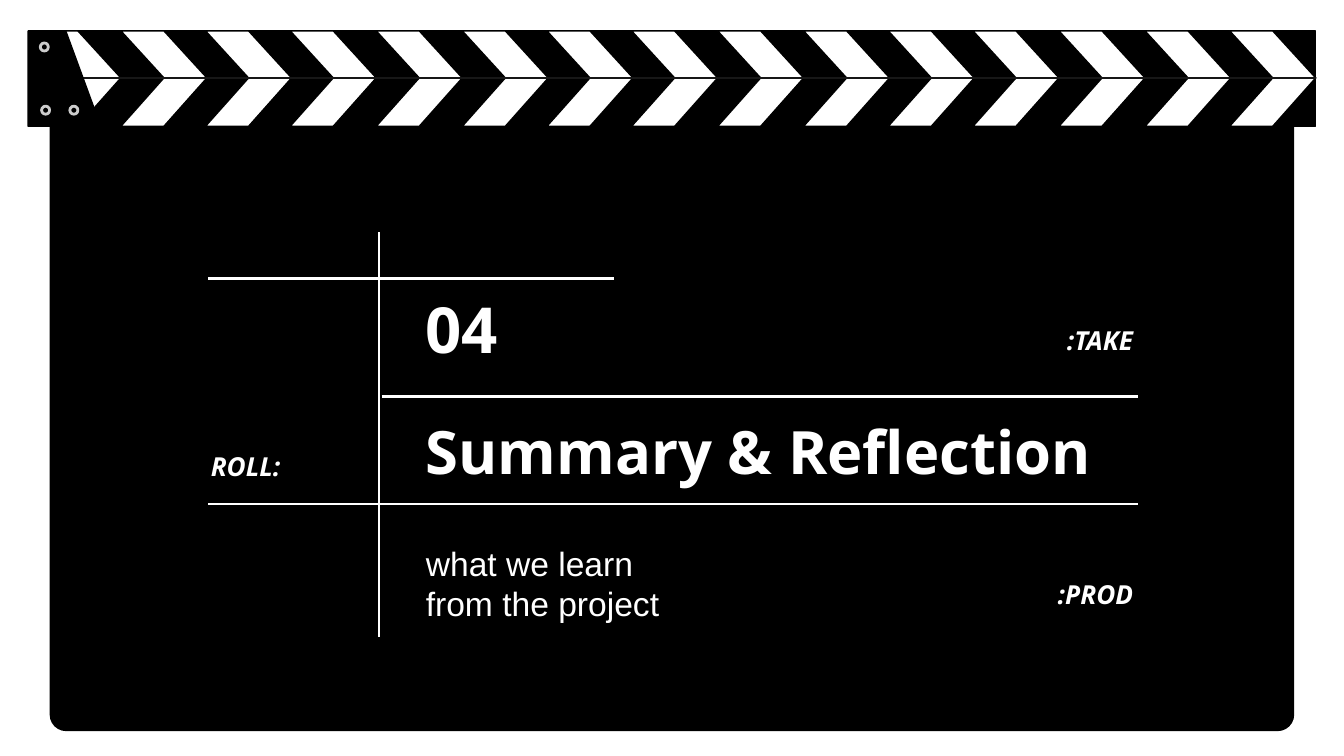
from dataclasses import dataclass

from lxml import etree
from pptx import Presentation, util as u
from pptx.dml.color import RGBColor
from pptx.enum import shapes, text
from pptx.oxml.ns import qn

EMU_PER_PX = 9144  # 100 px to the inch
BLACK, WHITE, GREY, SEAM_GREY = "000000", "FFFFFF", "CCCCCC", "171717"
HEADING_FONT, BODY_FONT = "Open Sans", "Arial"

# Clapper stick
STICK_LEFT, STICK_RIGHT = 21, 979
STICK_TOP, SEAM, STICK_BOTTOM = 23, 58, 94
STRIPE_COUNT, STRIPE_START, STRIPE_PITCH, STRIPE_WIDTH = 15, 26, 63.5, 32


@dataclass(frozen=True)
class Label:
    words: str
    left: int
    top: int
    width: int
    height: int
    size: int
    font: str = HEADING_FONT
    bold: bool = True
    italic: bool = False
    anchor: text.MSO_ANCHOR = text.MSO_ANCHOR.MIDDLE
    align: text.PP_ALIGN = text.PP_ALIGN.LEFT


@dataclass(frozen=True)
class Rule:
    x1: int
    y1: int
    x2: int
    y2: int
    colour: str = WHITE
    weight: float = 1.5


def px(length: float) -> int:
    return round(length * EMU_PER_PX)


def colour(value: str) -> RGBColor:
    return RGBColor.from_string(value)


def paint(shape, fill: str, line: str = BLACK, weight: float = 0.75) -> None:
    shape.shadow.inherit = False
    shape.fill.solid()
    shape.fill.fore_color.rgb = colour(fill)
    shape.line.color.rgb = colour(line)
    shape.line.width = u.Pt(weight)


def add_outline(slide, points: list[tuple[int, int]], fill: str) -> None:
    builder = slide.shapes.build_freeform(*points[0], scale=EMU_PER_PX)
    builder.add_line_segments(points[1:], close=True)
    paint(builder.convert_to_shape(), fill)


def add_stripe(slide, left: int, edge: int) -> None:
    """Slanted stripe between an outer edge of the stick and its seam."""
    middle, right = left + STRIPE_WIDTH, left + 2 * STRIPE_WIDTH
    add_outline(slide, [(left, edge), (middle, SEAM), (right, SEAM), (middle, edge)], WHITE)


def add_rule(slide, rule: Rule) -> None:
    connector = slide.shapes.add_connector(
        shapes.MSO_CONNECTOR.STRAIGHT, px(rule.x1), px(rule.y1), px(rule.x2), px(rule.y2))
    connector.line.color.rgb = colour(rule.colour)
    connector.line.width = u.Pt(rule.weight)
    etree.SubElement(connector._element.spPr, qn("a:effectLst"))


def add_label(slide, label: Label) -> None:
    box = slide.shapes.add_textbox(
        px(label.left), px(label.top), px(label.width), px(label.height))
    frame = box.text_frame
    frame.word_wrap = True
    frame.vertical_anchor = label.anchor
    frame.margin_left = frame.margin_right = px(10)
    frame.margin_top = frame.margin_bottom = px(10)
    paragraph = frame.paragraphs[0]
    paragraph.text = label.words
    paragraph.alignment = label.align
    font = paragraph.font
    font.name, font.size = label.font, u.Pt(label.size)
    font.bold, font.italic = label.bold, label.italic
    font.color.rgb = colour(WHITE)


def field_label(words: str, left: int, top: int, align: text.PP_ALIGN) -> Label:
    return Label(words, left, top, 111, 29, 14, italic=True,
                 anchor=text.MSO_ANCHOR.TOP, align=align)


LABELS = [
    Label("Summary & Reflection", 307, 303, 655, 65, 32),
    Label("04", 307, 198, 127, 92, 34),
    Label("what we learn from the project", 307, 392, 211, 84, 18, BODY_FONT, bold=False),
    field_label("ROLL:", 147, 325, text.PP_ALIGN.LEFT),
    field_label(":PROD", 742, 420, text.PP_ALIGN.RIGHT),
    field_label(":TAKE", 742, 231, text.PP_ALIGN.RIGHT),
]
RULES = [
    Rule(284, 295, 847, 295),
    Rule(282, 173, 282, 474),
    Rule(155, 375, 847, 375),
    Rule(155, 207, 457, 207),
]
SCREWS = [(30, 32), (31, 79), (52, 79)]
SCREW_SIZE = 6


def main() -> None:
    presentation = Presentation()
    presentation.slide_width = u.Inches(10)
    presentation.slide_height = u.Inches(5.625)
    slide = presentation.slides.add_slide(presentation.slide_layouts[6])

    # Board
    board = slide.shapes.add_shape(
        shapes.MSO_SHAPE.ROUNDED_RECTANGLE, px(37), px(72), px(926), px(472))
    board.adjustments[0] = 0.026
    paint(board, BLACK)
    board.line.fill.background()

    # Striped stick, upper half then lower half
    for edge in (STICK_TOP, STICK_BOTTOM):
        add_outline(slide, [(STICK_LEFT, edge), (STICK_LEFT, SEAM),
                            (STICK_RIGHT, SEAM), (STICK_RIGHT, edge)], BLACK)
        for index in range(STRIPE_COUNT):
            add_stripe(slide, round(STRIPE_START + index * STRIPE_PITCH), edge)
    add_rule(slide, Rule(STICK_LEFT, SEAM, STICK_RIGHT, SEAM, SEAM_GREY, 0.75))

    # Hinge plate and screws
    add_outline(slide, [(STICK_LEFT, STICK_TOP), (STICK_LEFT, STICK_BOTTOM),
                        (75, STICK_BOTTOM), (49, STICK_TOP)], BLACK)
    for left, top in SCREWS:
        screw = slide.shapes.add_shape(
            shapes.MSO_SHAPE.OVAL, px(left), px(top), px(SCREW_SIZE), px(SCREW_SIZE))
        paint(screw, BLACK, GREY, 1.5)

    # Wording and ruled lines
    for label in LABELS:
        add_label(slide, label)
    for rule in RULES:
        add_rule(slide, rule)

    presentation.save("out.pptx")


if __name__ == "__main__":
    main()
